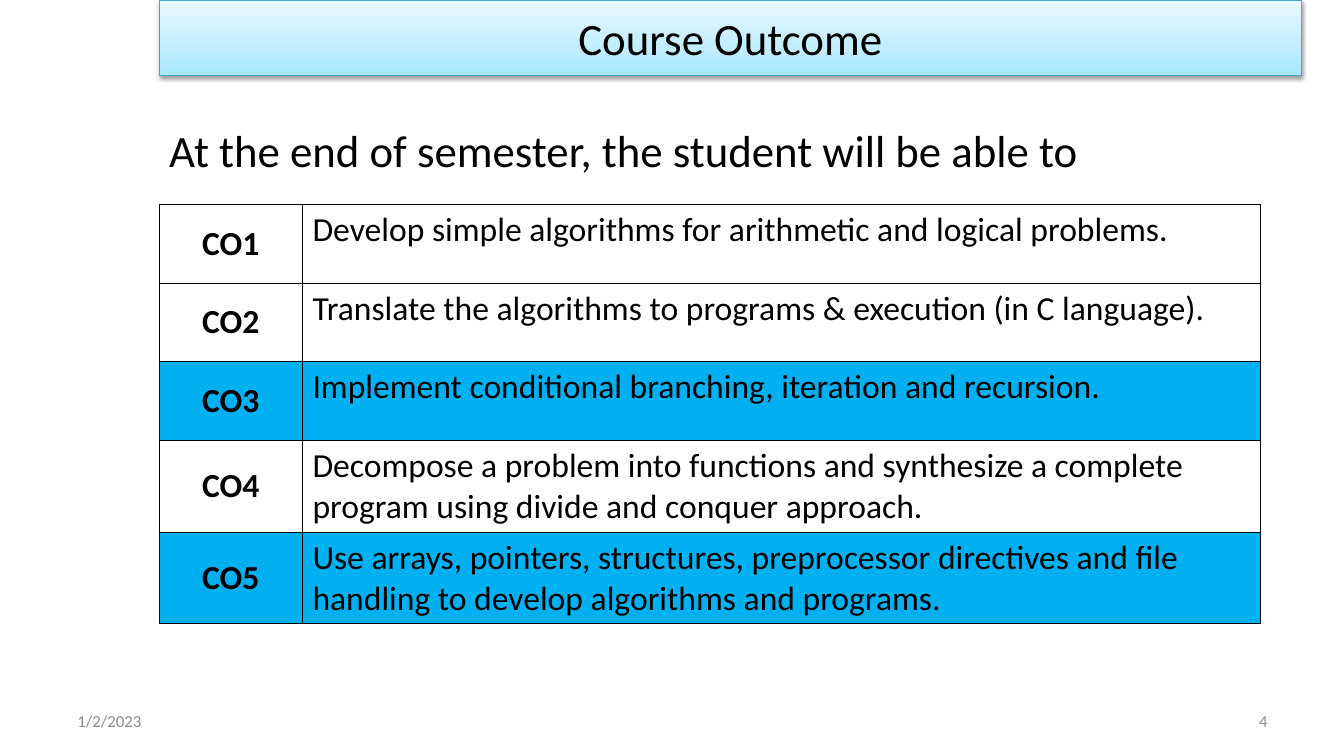
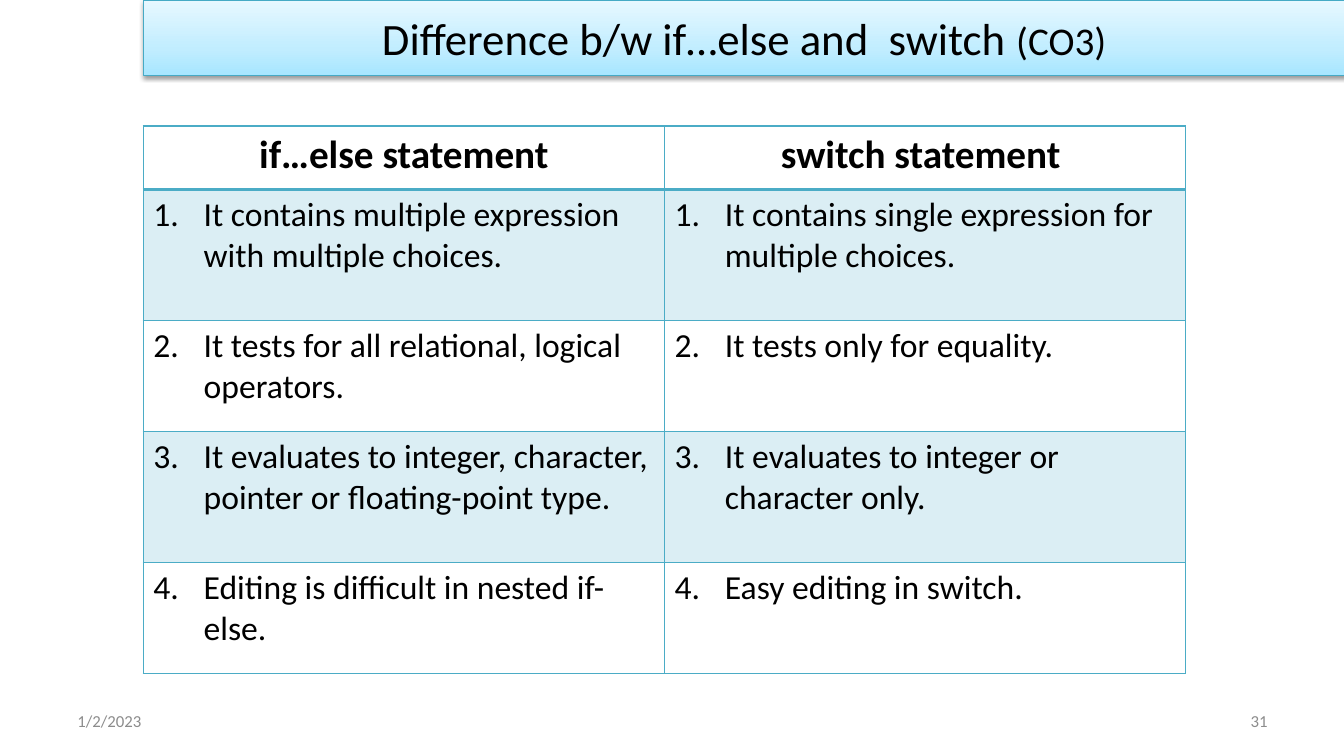
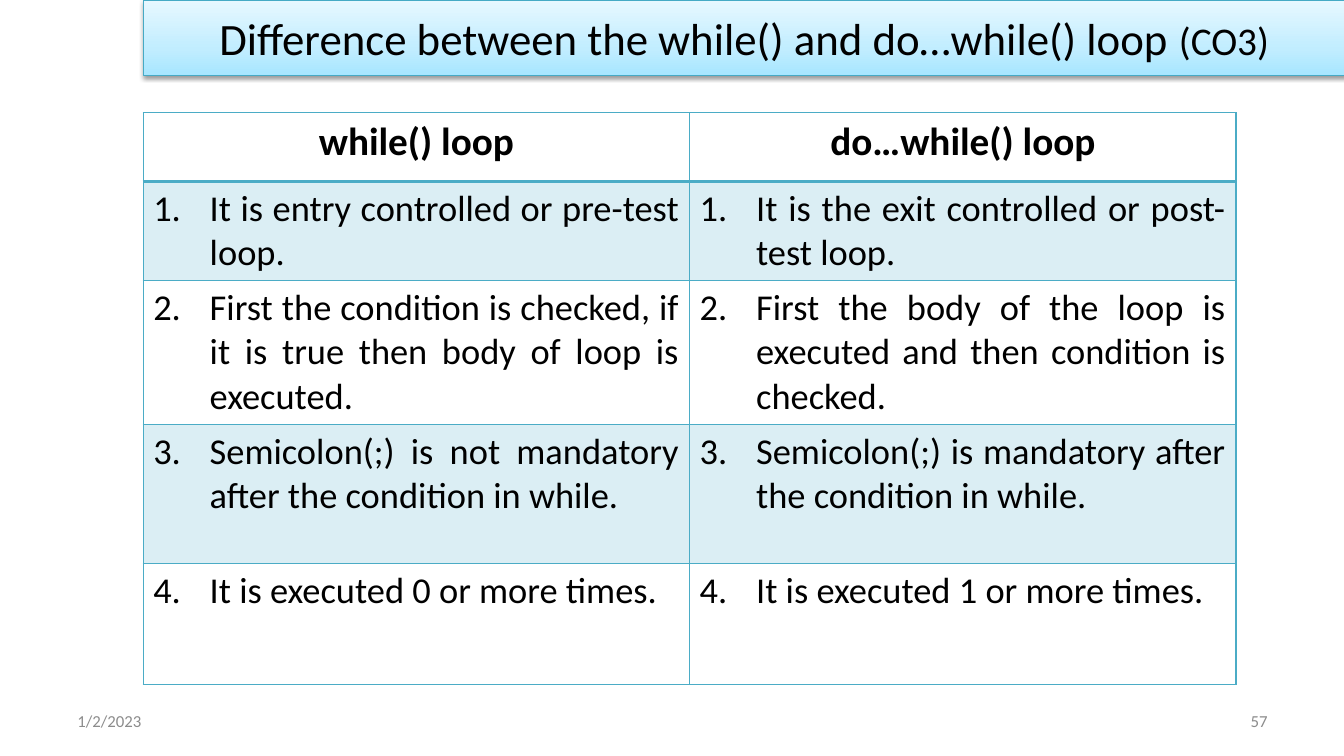
"""Build three slides on C course outcomes and control statements."""
import pptx
import pptx.util
import pptx.dml.color
import pptx.enum.shapes
import pptx.enum.text
import pptx.oxml
import pptx.oxml.ns

Inches = pptx.util.Inches
Align = pptx.enum.text.PP_ALIGN
Anchor = pptx.enum.text.MSO_ANCHOR
FONT = "Calibri"
COLORS = {
    "ink": "000000",
    "gray": "8C8C8C",
    "edge": "46AAC5",
    "teal": "4BACC6",
    "tint": "DBEEF4",
    "mark": "00B0F0",
}
STOPS = [(0, "A7E6FF"), (35, "C1EDFF"), (100, "E7F8FF")]

GOALS = [
    ("CO1", "Develop simple algorithms for arithmetic and logical problems."),
    ("CO2", "Translate the algorithms to programs & execution (in C language)."),
    ("CO3", "Implement conditional branching, iteration and recursion."),
    ("CO4", "Decompose a problem into functions and synthesize a complete "
            "program using divide and conquer approach."),
    ("CO5", "Use arrays, pointers, structures, preprocessor directives and "
            "file handling to develop algorithms and programs."),
]
CHOICE = [
    ("if…else statement", "switch statement "),
    ("It contains multiple expression with multiple choices.",
     "It contains single expression for multiple choices."),
    ("It tests for all relational, logical operators.",
     "It tests only for equality."),
    ("It evaluates to integer, character, pointer or floating-point type.",
     "It evaluates to integer or character only."),
    ("Editing is difficult in nested if-else.", "Easy editing in switch."),
]
LOOPS = [
    ("while() loop", "do…while() loop"),
    ("It is entry controlled or pre-test loop.",
     "It is the exit controlled or post-test loop."),
    ("First the condition is checked, if it is true then body of loop is executed.",
     "First the body of the loop is executed and then condition is checked."),
    ("Semicolon(;) is not mandatory after the condition in while.",
     "Semicolon(;) is mandatory after the condition in while."),
    ("It is executed 0 or more times.", "It is executed 1 or more times."),
]


def rgb(name):
    """Return the named colour."""
    return pptx.dml.color.RGBColor.from_string(COLORS[name])


def node(xml):
    """Turn a piece of DrawingML into an element."""
    head, rest = xml.split(" ", 1)
    return pptx.oxml.parse_xml(f"{head} {pptx.oxml.ns.nsdecls('a')} {rest}")


def write(frame, words, size=24, bold=False, color="ink", align=Align.LEFT,
          num=None, hang=0.5):
    """Add a run to the first paragraph, numbered if num is given."""
    para = frame.paragraphs[0]
    para.alignment = align
    if num:
        props = para._p.get_or_add_pPr()
        props.set("marL", str(Inches(hang)))
        props.set("indent", str(-Inches(hang)))
        props.append(node(f'<a:buAutoNum type="arabicPeriod" startAt="{num}"/>'))
    run = para.add_run()
    run.text = words
    run.font.name = FONT
    run.font.size = pptx.util.Pt(size)
    run.font.bold = bold
    run.font.color.rgb = rgb(color)


def label(slide, words, left, top, width, height, anchor=Anchor.TOP, **style):
    """Add a wrapped text box."""
    box = slide.shapes.add_textbox(*map(Inches, (left, top, width, height)))
    box.text_frame.word_wrap = True
    box.text_frame.vertical_anchor = anchor
    write(box.text_frame, words, **style)


def banner(slide, left, width, title, tag):
    """Draw the title band with its gradient and soft shadow."""
    band = slide.shapes.add_shape(
        pptx.enum.shapes.MSO_SHAPE.RECTANGLE,
        *map(Inches, (left, 0, width, 0.75)))
    band.line.color.rgb = rgb("edge")
    band.line.width = pptx.util.Pt(0.75)
    band.shadow.inherit = False
    props = band._element.spPr
    stops = "".join(f'<a:gs pos="{pos * 1000}"><a:srgbClr val="{tone}"/></a:gs>'
                    for pos, tone in STOPS)
    props.insert(2, node(
        f'<a:gradFill rotWithShape="1"><a:gsLst>{stops}</a:gsLst>'
        '<a:lin ang="16200000" scaled="0"/></a:gradFill>'))
    props.find(pptx.oxml.ns.qn("a:effectLst")).append(node(
        '<a:outerShdw blurRad="40000" dist="20000" dir="5400000" rotWithShape="0">'
        f'<a:srgbClr val="{COLORS["ink"]}"><a:alpha val="38000"/></a:srgbClr>'
        '</a:outerShdw>'))
    frame = band.text_frame
    frame.word_wrap = True
    frame.vertical_anchor = Anchor.MIDDLE
    write(frame, title, size=32, align=Align.CENTER)
    if tag:
        write(frame, tag, size=28, align=Align.CENTER)


def start(deck, title, page, left=1.42, width=11.92, tag="(CO3)"):
    """Add a blank slide with footer and title band."""
    slide = deck.slides.add_slide(deck.slide_layouts[6])
    for words, spot, align in (("1/2/2023", 0.67, Align.LEFT),
                               (str(page), 9.56, Align.RIGHT)):
        label(slide, words, spot, 6.95, 3.11, 0.4, anchor=Anchor.MIDDLE,
              size=12, color="gray", align=align)
    banner(slide, left, width, title, tag)
    return slide


def paint(cell, fill, edge, base=1):
    """Fill a cell and rule its four sides; base is the bottom width."""
    if fill:
        cell.fill.solid()
        cell.fill.fore_color.rgb = rgb(fill)
    else:
        cell.fill.background()
    props = cell._tc.get_or_add_tcPr()
    for spot, side in enumerate("LRTB"):
        width = pptx.util.Pt(base if side == "B" else 1)
        props.insert(spot, node(
            f'<a:ln{side} w="{width}"><a:solidFill>'
            f'<a:srgbClr val="{COLORS[edge]}"/></a:solidFill></a:ln{side}>'))


def grid(slide, left, top, cols, rows):
    """Add a plain table with the given column widths and row heights."""
    table = slide.shapes.add_table(
        len(rows), len(cols),
        *map(Inches, (left, top, sum(cols), sum(rows)))).table
    table.first_row = table.horz_banding = False
    for col, width in zip(table.columns, cols):
        col.width = Inches(width)
    for row, height in zip(table.rows, rows):
        row.height = Inches(height)
    return table


def goals(slide):
    """Fill the table of outcomes, marking the ones covered here."""
    table = grid(slide, 1.58, 2.03, [1.42, 9.5], [0.78] * 3 + [0.91] * 2)
    for row, (code, aim) in zip(table.rows, GOALS):
        key, body = row.cells
        for cell in row.cells:
            paint(cell, "mark" if code in ("CO3", "CO5") else None, "ink")
        key.vertical_anchor = Anchor.MIDDLE
        write(key.text_frame, code, bold=True, align=Align.CENTER)
        write(body.text_frame, aim)


def versus(slide, pairs, top, col, rows, **style):
    """Fill a two-column comparison with numbered, banded rows."""
    table = grid(slide, 1.42, top, [col] * 2, rows)
    for num, pair in enumerate(pairs):
        for cell, words in zip(table.rows[num].cells, pair):
            paint(cell, "tint" if num % 2 else None, "teal", 1 if num else 2)
            if num:
                write(cell.text_frame, words, num=num, **style)
            else:
                write(cell.text_frame, words, size=28, bold=True,
                      align=Align.CENTER)


def main():
    """Build and save the deck."""
    deck = pptx.Presentation()
    deck.slide_width, deck.slide_height = Inches(13.33), Inches(7.5)

    slide = start(deck, "Course Outcome", 4, left=1.58, width=11.33, tag="")
    label(slide, "At the end of semester, the student will be able to",
          1.58, 1.17, 9.67, 0.75, size=32)
    goals(slide)

    slide = start(deck, "Difference b/w if…else and  switch ", 31)
    versus(slide, CHOICE, 1.25, 5.17, [0.63, 1.3, 1.1, 1.3, 1.1])

    slide = start(deck, "Difference between the while() and do…while() loop ", 57)
    versus(slide, LOOPS, 1.12, 5.42, [0.68, 0.98, 1.43, 1.38, 1.2],
           size=26, align=Align.JUSTIFY, hang=0.56)

    deck.save("out.pptx")


if __name__ == "__main__":
    main()
